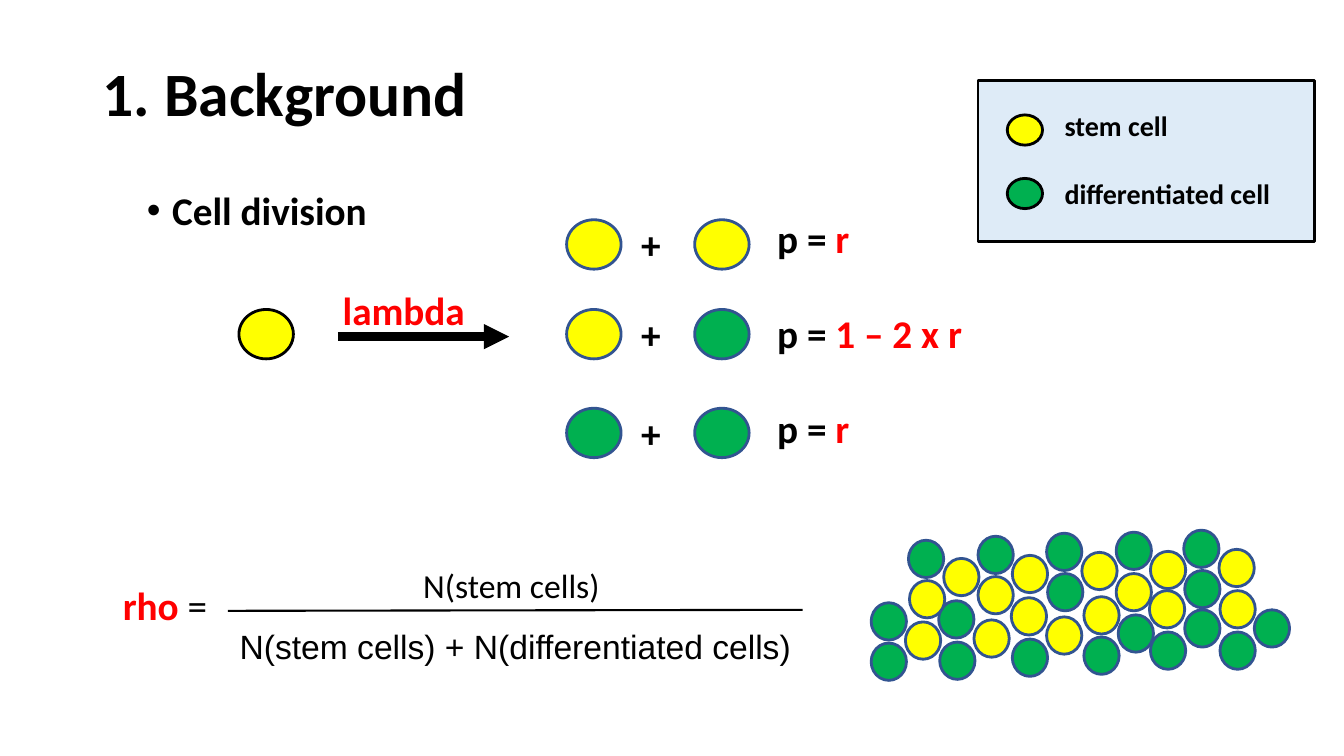
import dataclasses
import typing

import pptx
import pptx.dml.color
import pptx.enum.shapes
import pptx.enum.text
import pptx.oxml
import pptx.oxml.ns
import pptx.util

Inches = pptx.util.Inches
Pt = pptx.util.Pt
Align = pptx.enum.text.PP_ALIGN
Anchor = pptx.enum.text.MSO_ANCHOR
Preset = pptx.enum.shapes.MSO_SHAPE

COLOURS = {
    "black": "000000",
    "red": "FF0000",
    "stem": "FFFF00",
    "differentiated": "00B050",
    "outline": "325491",
    "panel": "DEEBF7",
}


class Span(typing.NamedTuple):
    text: str
    colour: str = "black"
    bold: bool = True
    font: str = "Calibri"


class Box(typing.NamedTuple):
    left: float
    top: float
    width: float
    height: float


@dataclasses.dataclass
class Division:
    """One possible outcome of a cell division."""
    top: float
    first: str
    second: str


DIVISIONS = [
    Division(2.18, "stem", "stem"),
    Division(3.07, "stem", "differentiated"),
    Division(4.05, "differentiated", "differentiated"),
]

TISSUE = {
    "differentiated": [
        (9.7, 5.32), (10.38, 5.29), (10.39, 5.69), (10.04, 6.34), (9.31, 5.96),
        (9.32, 6.37), (9.01, 5.36), (8.64, 5.98), (8.64, 6.38), (11.09, 6.1),
        (10.75, 6.32), (11.07, 5.28), (11.75, 6.05), (11.41, 6.27), (11.74, 5.26),
        (11.75, 5.66), (12.44, 6.05), (12.1, 6.27),
    ],
    "stem": [
        (10.04, 5.51), (9.7, 5.72), (10.73, 5.48), (10.03, 5.93), (10.38, 6.12),
        (9.66, 6.15), (9.36, 5.54), (9.02, 5.76), (8.98, 6.17), (10.75, 5.92),
        (11.41, 5.47), (11.07, 5.69), (11.4, 5.86), (12.09, 5.45), (12.1, 5.86),
    ],
}
# The two cells of the fourth column are swapped in kind below the top row.
LEGEND = [(1.14, "stem"), (1.77, "differentiated")]


def rgb(name: str) -> pptx.dml.color.RGBColor:
    return pptx.dml.color.RGBColor.from_string(COLOURS[name])


def add_filled(page, preset, box: Box, fill: str, line: str = "outline") -> None:
    shape = page.shapes.add_shape(preset, *map(Inches, box))
    shape.shadow.inherit = False
    shape.fill.solid()
    shape.fill.fore_color.rgb = rgb(fill)
    shape.line.color.rgb = rgb(line)
    shape.line.width = Pt(2)


def add_cell(page, left: float, top: float, kind: str, width: float = 0.54,
             height: float = 0.49, line: str = "outline") -> None:
    add_filled(page, Preset.OVAL, Box(left, top, width, height), kind, line)


def add_text(page, box: Box, paragraphs: list[list[Span]], *, size: float = 28,
             gap: float = 0, spacing: float = 1.0, align=Align.LEFT,
             anchor=Anchor.TOP, bullet: bool = False) -> None:
    """Add a text box; gap is the space in points between paragraphs."""
    frame = page.shapes.add_textbox(*map(Inches, box)).text_frame
    frame.word_wrap = True
    frame.vertical_anchor = anchor
    for index, spans in enumerate(paragraphs):
        para = frame.add_paragraph() if index else frame.paragraphs[0]
        para.alignment = align
        para.line_spacing = spacing
        if index and gap:
            para.space_before = Pt(gap)
        if bullet:
            add_bullet(para)
        for span in spans:
            run = para.add_run()
            run.text = span.text
            run.font.name = span.font
            run.font.size = Pt(size)
            run.font.bold = span.bold
            run.font.color.rgb = rgb(span.colour)


def add_bullet(para) -> None:
    properties = para._p.get_or_add_pPr()
    properties.set("marL", str(Inches(0.25)))
    properties.set("indent", str(Inches(-0.25)))
    font = pptx.oxml.parse_xml(
        f'<a:buFont {pptx.oxml.ns.nsdecls("a")} typeface="Arial"/>')
    mark = pptx.oxml.parse_xml(
        f'<a:buChar {pptx.oxml.ns.nsdecls("a")} char="•"/>')
    properties.extend([font, mark])


def add_line(page, start: tuple[float, float], end: tuple[float, float],
             width: float, arrow: bool = False) -> None:
    line = page.shapes.add_connector(
        pptx.enum.shapes.MSO_CONNECTOR.STRAIGHT, *map(Inches, start + end))
    line.line.color.rgb = rgb("black")
    line.line.width = Pt(width)
    if arrow:
        line.line._get_or_add_ln().append(pptx.oxml.parse_xml(
            f'<a:tailEnd {pptx.oxml.ns.nsdecls("a")} type="triangle"/>'))
    line._element.spPr.append(pptx.oxml.parse_xml(
        f'<a:effectLst {pptx.oxml.ns.nsdecls("a")}/>'))


def add_legend(page) -> None:
    add_filled(page, Preset.RECTANGLE, Box(9.7, 0.8, 3.34, 1.6), "panel", "black")
    for top, kind in LEGEND:
        add_cell(page, 9.99, top, kind, 0.35, 0.3, "black")
    add_text(page, Box(10.46, 1.03, 2.65, 1.1),
             [[Span("stem cell")], [Span("differentiated cell")]],
             size=20, gap=24.4)


def add_divisions(page) -> None:
    add_cell(page, 2.37, 3.07, "stem", line="black")
    add_line(page, (3.35, 3.34), (5.05, 3.34), 6, arrow=True)
    add_text(page, Box(3.3, 2.79, 1.81, 0.57), [[Span("lambda", "red")]])
    for division in DIVISIONS:
        add_cell(page, 5.62, division.top, division.first)
        add_cell(page, 6.89, division.top, division.second)
        add_text(page, Box(6.26, division.top - 0.04, 0.52, 0.57), [[Span("+")]])
    add_text(page, Box(7.61, 2.08, 2.79, 2.43),
             [[Span("p = "), Span(chance, "red")] for chance in ("r", "1 – 2 x r", "r")],
             gap=34.2)


def add_ratio(page) -> None:
    add_text(page, Box(1.12, 5.72, 1.1, 0.57),
             [[Span("rho ", "red"), Span("=", bold=False)]])
    add_text(page, Box(2.25, 5.36, 5.72, 1.84),
             [[Span("N(stem cells) ", bold=False)],
              [Span("N(stem cells) + N(differentiated cells)", bold=False, font="Arial")]],
             size=24, spacing=1.5, align=Align.CENTER)
    add_line(page, (2.26, 6.06), (7.96, 6.05), 1.5)


def main() -> None:
    deck = pptx.Presentation()
    deck.slide_width, deck.slide_height = Inches(13.33), Inches(7.5)
    page = deck.slides.add_slide(deck.slide_layouts[6])
    add_text(page, Box(0.92, 0.4, 8.5, 1.12), [[Span("1. Background")]],
             size=44, spacing=0.9, anchor=Anchor.MIDDLE)
    add_text(page, Box(1.36, 1.85, 4, 0.6), [[Span("Cell division")]],
             spacing=0.9, bullet=True)
    add_legend(page)
    add_divisions(page)
    add_ratio(page)
    for kind, places in TISSUE.items():
        for left, top in places:
            add_cell(page, left, top, kind, 0.35, 0.37)
    deck.save("out.pptx")


if __name__ == "__main__":
    main()
